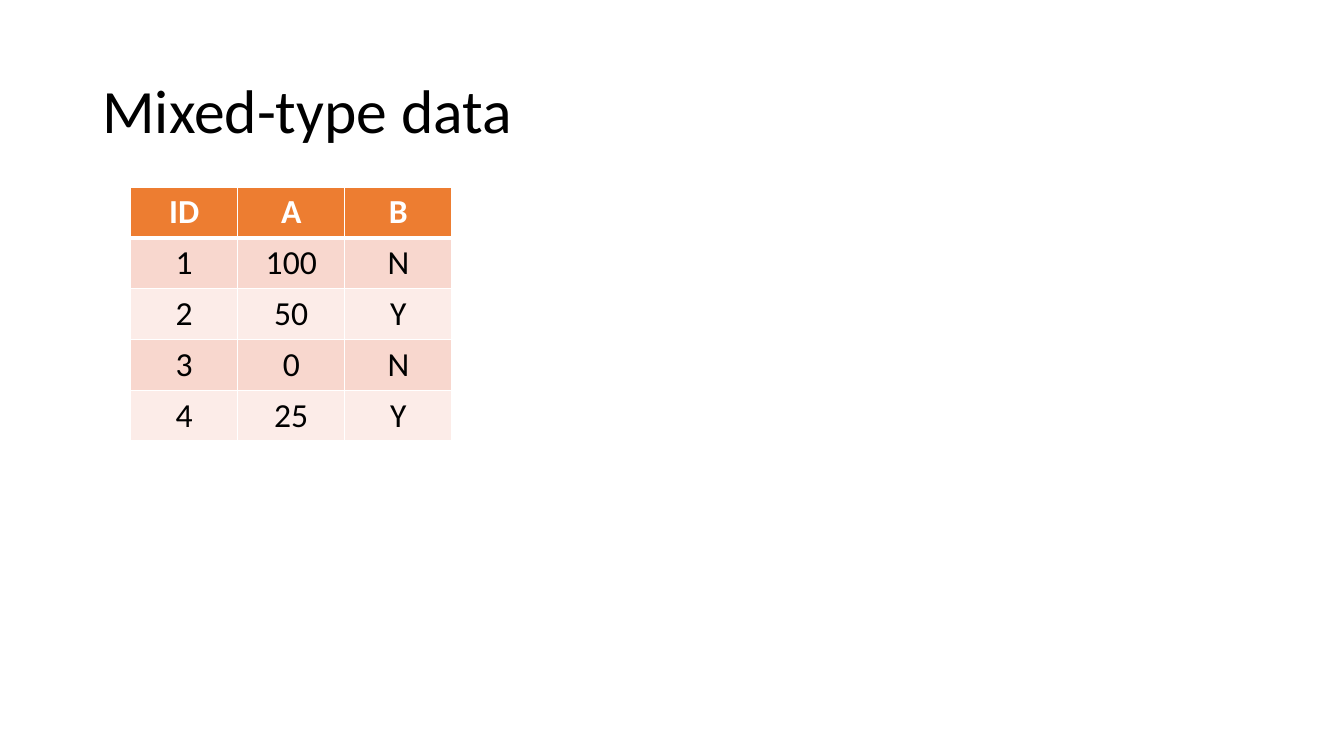
from lxml import etree
from pptx import Presentation, util as u
from pptx.dml.color import RGBColor
from pptx.enum import text
from pptx.oxml.ns import qn
from pptx.util import Cm

WHITE = RGBColor(0xFF, 0xFF, 0xFF)
BLACK = RGBColor(0, 0, 0)
ORANGE = RGBColor(0xED, 0x7D, 0x31)
BANDS = [RGBColor(0xFC, 0xEC, 0xE8), RGBColor(0xF8, 0xD7, 0xCE)]

ROWS = [
    ("ID", "A", "B"),
    ("1", "100", "N"),
    ("2", "50", "Y"),
    ("3", "0", "N"),
    ("4", "25", "Y"),
]
COLUMN_WIDTH = Cm(2.7)
ROW_HEIGHT = Cm(1.28)


def write(para, words, color, **formats):
    span = para.add_run()
    span.text = words
    span.font.color.rgb = color
    for name, value in {"name": "Calibri", **formats}.items():
        setattr(span.font, name, value)


def add_title(page, words):
    box = page.shapes.add_textbox(Cm(2.33), Cm(1.01), Cm(29.21), Cm(3.68))
    frame = box.text_frame
    frame.word_wrap = True
    frame.vertical_anchor = text.MSO_ANCHOR.MIDDLE
    para = frame.paragraphs[0]
    para.line_spacing = 0.9
    write(para, words, BLACK, size=u.Pt(44))


def set_borders(cell, points):
    """Draw white cell borders; points maps each side (L, R, T, B) to a width."""
    properties = cell._tc.get_or_add_tcPr()
    for place, (side, width) in enumerate(points.items()):
        line = etree.Element(qn(f"a:ln{side}"), w=str(u.Pt(width)))
        fill = etree.SubElement(line, qn("a:solidFill"))
        etree.SubElement(fill, qn("a:srgbClr"), val=str(WHITE))
        properties.insert(place, line)


def fill_cell(cell, words, row):
    header = row == 0
    cell.fill.solid()
    cell.fill.fore_color.rgb = ORANGE if header else BANDS[row % 2]
    para = cell.text_frame.paragraphs[0]
    para.alignment = text.PP_ALIGN.CENTER
    write(para, words, WHITE if header else BLACK, size=u.Pt(24), bold=header)
    set_borders(cell, {"L": 1, "R": 1, "T": 3 if row == 1 else 1, "B": 3 if header else 1})


def add_data_table(page, rows):
    count, width = len(rows), len(rows[0])
    table = page.shapes.add_table(
        count, width, Cm(3.29), Cm(4.71), COLUMN_WIDTH * width, ROW_HEIGHT * count
    ).table
    for column in table.columns:
        column.width = COLUMN_WIDTH
    for row, values in enumerate(rows):
        table.rows[row].height = ROW_HEIGHT
        for column, words in enumerate(values):
            fill_cell(table.cell(row, column), words, row)


def main():
    deck = Presentation()
    deck.slide_width, deck.slide_height = Cm(33.87), Cm(19.05)
    page = deck.slides.add_slide(deck.slide_layouts[6])
    add_title(page, "Mixed-type data")
    add_data_table(page, ROWS)
    deck.save("out.pptx")


if __name__ == "__main__":
    main()
